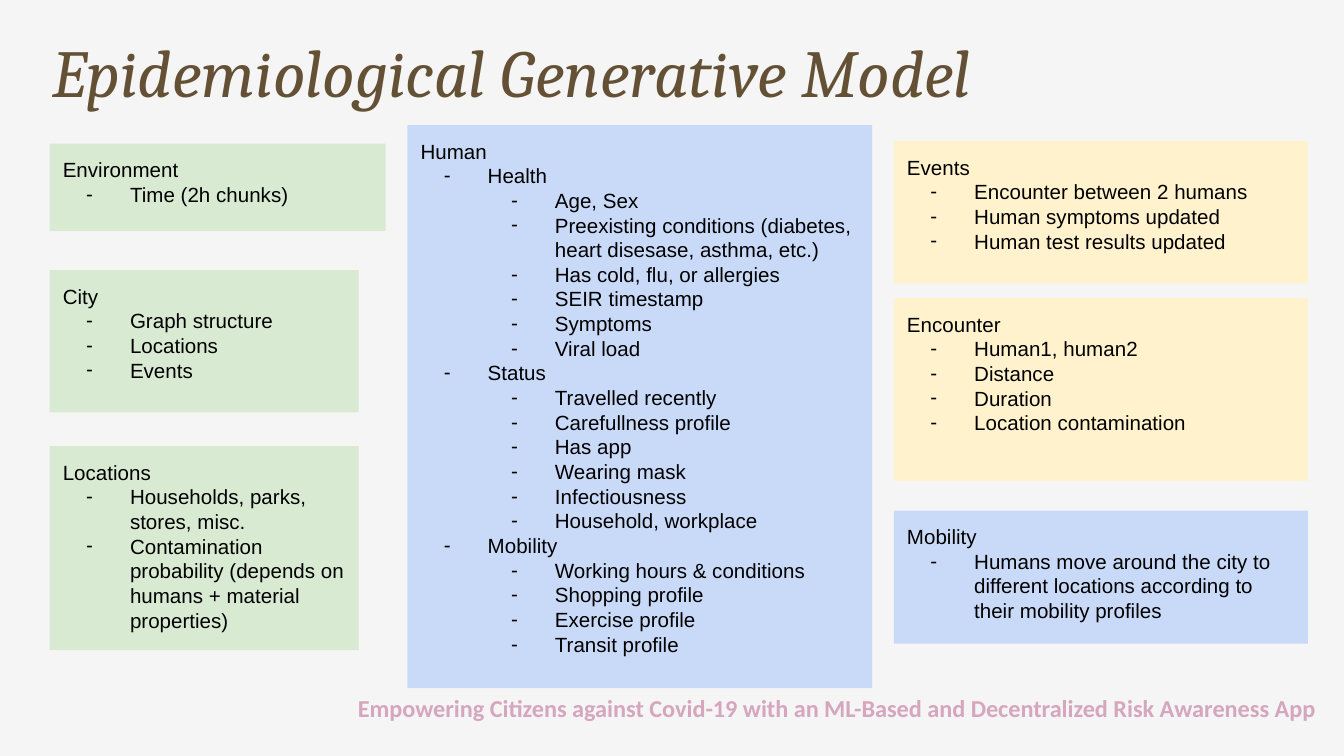
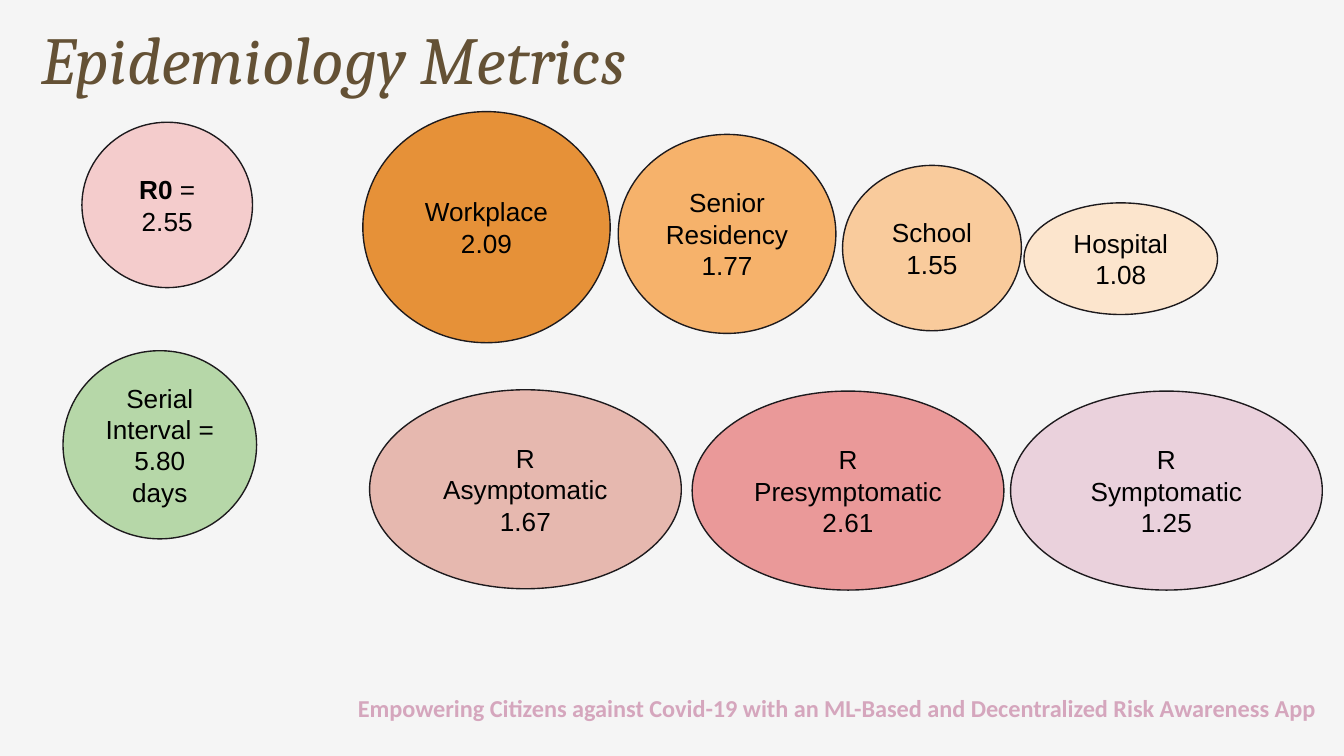
from dataclasses import dataclass

from lxml import etree
from pptx import Presentation
from pptx.dml.color import RGBColor
from pptx.enum.shapes import MSO_SHAPE
from pptx.enum.text import MSO_ANCHOR, MSO_AUTO_SIZE, PP_ALIGN
from pptx.oxml.ns import qn
from pptx.util import Pt

RECT, OVAL = MSO_SHAPE.RECTANGLE, MSO_SHAPE.OVAL
TOP, MIDDLE = MSO_ANCHOR.TOP, MSO_ANCHOR.MIDDLE
LEFT, CENTER, RIGHT = PP_ALIGN.LEFT, PP_ALIGN.CENTER, PP_ALIGN.RIGHT
NO_FIT = MSO_AUTO_SIZE.NONE


@dataclass(frozen=True)
class Style:
    font: str
    size: float
    color: str
    bold: bool = False
    italic: bool = False


class Theme:
    back = "F5F5F5"
    edge = "1D1A1D"
    green, blue, cream = "D9EAD3", "C9DAF8", "FFF2CC"
    pink, leaf = "F4CCCC", "B6D7A8"
    orange = ("E69138", "F6B26B", "F9CB9C", "FCE5CD")
    rose = ("E6B8AF", "EA9999", "EAD1DC")
    title = Style("Cambria", 36, "645135", italic=True)
    foot = Style("Calibri", 13, "D5A6BD", bold=True)
    list = Style("Arial", 11, "000000")
    label = Style("Arial", 14, "000000")
    strong = Style("Arial", 14, "000000", bold=True)


FOOT = ("Empowering Citizens against Covid-19 with an ML-Based "
        "and Decentralized Risk Awareness App")

# Panels: top within the column, width, height, fill, heading, items.
# A nested list holds the items one level down.
SETTING = [
    (0, 180, 46.8, Theme.green, "Environment", ["Time (2h chunks)"]),
    (67.7, 165.6, 76.3, Theme.green, "City",
     ["Graph structure", "Locations", "Events"]),
    (162, 165.6, 109.4, Theme.green, "Locations",
     ["Households, parks, stores, misc.",
      "Contamination probability (depends on humans + material properties)"]),
]
PERSON = [
    (0, 249.1, 301.7, Theme.blue, "Human", [
        "Health",
        ["Age, Sex",
         "Preexisting conditions (diabetes, heart disesase, asthma, etc.)",
         "Has cold, flu, or allergies", "SEIR timestamp", "Symptoms",
         "Viral load"],
        "Status",
        ["Travelled recently", "Carefullness profile", "Has app",
         "Wearing mask", "Infectiousness", "Household, workplace"],
        "Mobility",
        ["Working hours & conditions", "Shopping profile",
         "Exercise profile", "Transit profile"],
    ]),
]
ACTION = [
    (0, 221.8, 76.3, Theme.cream, "Events",
     ["Encounter between 2 humans", "Human symptoms updated",
      "Human test results updated"]),
    (84.2, 221.8, 97.9, Theme.cream, "Encounter",
     ["Human1, human2", "Distance", "Duration", "Location contamination"]),
    (198, 221.8, 71.3, Theme.blue, "Mobility",
     ["Humans move around the city to different locations according to "
      "their mobility profiles"]),
]

# Ovals: left and top within the group, width, height, fill, lines.
BASE = [
    (10.1, 0, 91.4, 88.6, Theme.pink,
     [[("R0", Theme.strong), (" = 2.55", Theme.label)]]),
    (0, 122.4, 103.7, 100.8, Theme.leaf, ["Serial Interval = 5.80 days"]),
]
STAGE = [
    (x, y, 167, 106.6, fill, ["R", name, rate])
    for x, y, fill, name, rate in zip(
        (0, 172.8, 343.4), (0, 0.7, 0.7), Theme.rose,
        ("Asymptomatic", "Presymptomatic", "Symptomatic"),
        ("1.67", "2.61", "1.25"))
]
PLACE = [
    (x, y, w, h, fill, lines)
    for (x, y, w, h), fill, lines in zip(
        ((0, 0, 132.5, 123.8), (136.8, 12.2, 116.6, 106.6),
         (257, 28.8, 95.8, 88.6), (354.2, 48.9, 103.7, 59.8)),
        Theme.orange,
        (["Workplace", "2.09"], ["Senior Residency", "1.77"],
         ["School", "1.55"], ["Hospital", "1.08"]))
]


def rgb(code):
    return RGBColor.from_string(code)


def add_run(para, text, style):
    run = para.add_run()
    run.text = text
    font = run.font
    font.name, font.size = style.font, Pt(style.size)
    font.bold, font.italic = style.bold, style.italic
    font.color.rgb = rgb(style.color)


def set_frame(frame, anchor, pad=7.2):
    frame.word_wrap = True
    frame.auto_size = NO_FIT
    frame.vertical_anchor = anchor
    frame.margin_left = frame.margin_right = Pt(7.2)
    frame.margin_top = frame.margin_bottom = Pt(pad)


def next_para(frame, index):
    return frame.add_paragraph() if index else frame.paragraphs[0]


def add_dash(para, level, style):
    props = para._p.get_or_add_pPr()
    props.set("marL", str(Pt(36 * level)))
    props.set("indent", str(-Pt(23.5)))
    tint = etree.SubElement(props, qn("a:buClr"))
    etree.SubElement(tint, qn("a:srgbClr"), val=style.color)
    etree.SubElement(props, qn("a:buFont"), typeface=style.font)
    etree.SubElement(props, qn("a:buChar"), char="-")
    para.level = level - 1


def add_block(slide, kind, box, fill, anchor):
    shape = slide.shapes.add_shape(kind, *map(Pt, box))
    shape.shadow.inherit = False
    shape.fill.solid()
    shape.fill.fore_color.rgb = rgb(fill)
    shape.line.fill.background()
    set_frame(shape.text_frame, anchor)
    return shape


def flatten(items, level=1):
    for item in items:
        if isinstance(item, list):
            yield from flatten(item, level + 1)
        else:
            yield level, item


def add_column(slide, left, top, panels):
    """Stack list panels below the given corner."""
    for down, wide, high, fill, head, items in panels:
        box = (left, top + down, wide, high)
        frame = add_block(slide, RECT, box, fill, TOP).text_frame
        for i, (level, text) in enumerate([(0, head), *flatten(items)]):
            para = next_para(frame, i)
            para.alignment = LEFT
            if level:
                add_dash(para, level, Theme.list)
            add_run(para, text, Theme.list)


def add_ovals(slide, left, top, ovals):
    """Place a group of metric ovals from the given corner."""
    for right, down, wide, high, fill, lines in ovals:
        box = (left + right, top + down, wide, high)
        shape = add_block(slide, OVAL, box, fill, MIDDLE)
        shape.line.color.rgb = rgb(Theme.edge)
        shape.line.width = Pt(0.75)
        for i, line in enumerate(lines):
            para = next_para(shape.text_frame, i)
            para.alignment = CENTER
            parts = [(line, Theme.label)] if isinstance(line, str) else line
            for text, style in parts:
                add_run(para, text, style)


def add_slide(deck, text, box):
    """Start a slide with its title and the shared footer."""
    slide = deck.slides.add_slide(deck.slide_layouts[5])
    title = slide.shapes.title
    title.left, title.top, title.width, title.height = map(Pt, box)
    set_frame(title.text_frame, TOP, 3.6)
    para = title.text_frame.paragraphs[0]
    para.alignment, para.line_spacing = LEFT, 0.9
    add_run(para, text, Theme.title)

    foot = slide.shapes.add_textbox(Pt(121), Pt(364.3), Pt(590.4), Pt(25.2))
    set_frame(foot.text_frame, TOP)
    para = foot.text_frame.paragraphs[0]
    para.alignment = RIGHT
    add_run(para, FOOT, Theme.foot)
    return slide


def add_model(deck):
    slide = add_slide(deck, "Epidemiological Generative Model",
                      (20.9, 17.3, 630, 59.8))
    add_column(slide, 26.6, 77, SETTING)
    add_column(slide, 218.2, 67, PERSON)
    add_column(slide, 478.8, 75.6, ACTION)


def add_metrics(deck):
    slide = add_slide(deck, "Epidemiology Metrics", (15.1, 10.8, 579.6, 59.8))
    add_ovals(slide, 33.8, 65.5, BASE)
    add_ovals(slide, 198, 208.8, STAGE)
    add_ovals(slide, 194.4, 59.8, PLACE)


def main():
    deck = Presentation()
    deck.slide_width, deck.slide_height = Pt(720), Pt(405)
    fill = deck.slide_master.background.fill
    fill.solid()
    fill.fore_color.rgb = rgb(Theme.back)
    add_model(deck)
    add_metrics(deck)
    deck.save("out.pptx")


if __name__ == "__main__":
    main()
